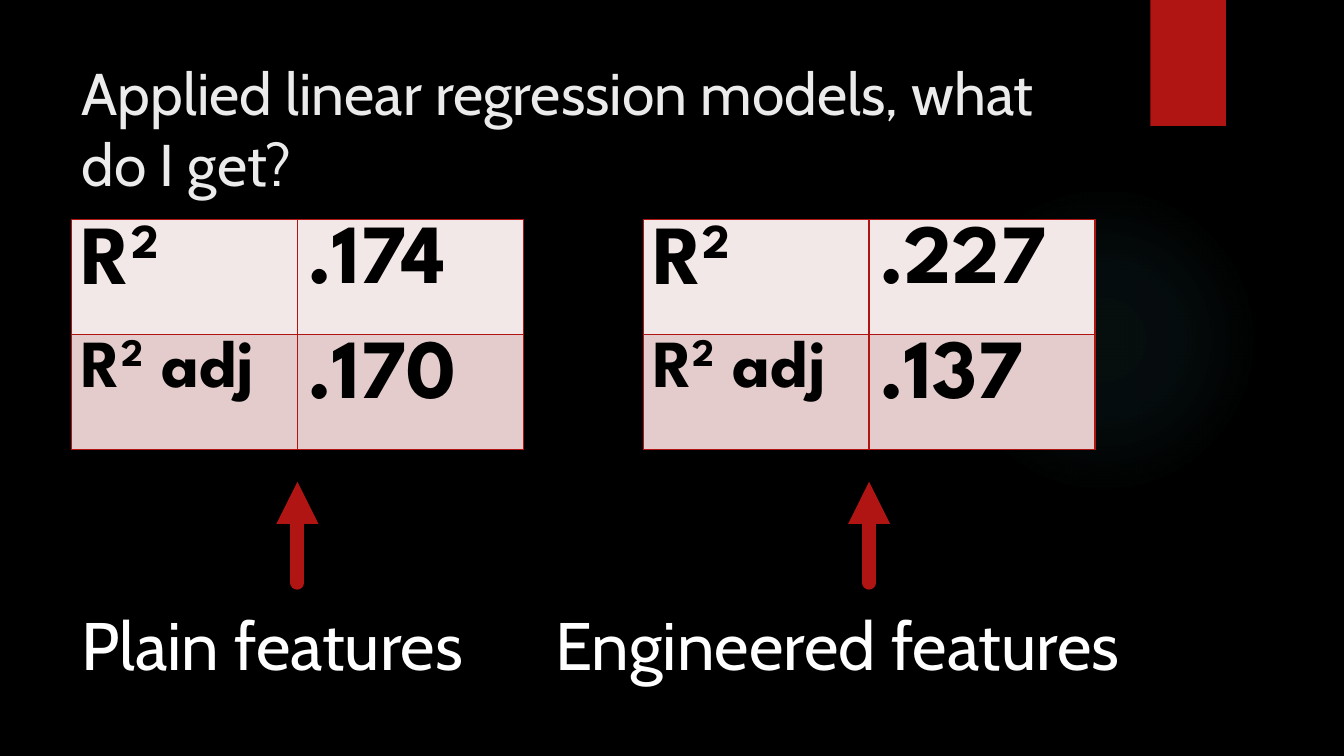
from pptx import Presentation
from pptx.dml.color import RGBColor
from pptx.enum.shapes import MSO_CONNECTOR, MSO_SHAPE
from pptx.enum.text import MSO_ANCHOR
from pptx.oxml import parse_xml
from pptx.oxml.ns import nsdecls, qn
from pptx.util import Inches, Pt
from lxml.etree import SubElement

BLACK = RGBColor(0x00, 0x00, 0x00)
WHITE = RGBColor(0xFF, 0xFF, 0xFF)
OFF_WHITE = RGBColor(0xEB, 0xEB, 0xEB)
RED = RGBColor(0xB0, 0x15, 0x13)
TEAL = RGBColor(0x50, 0xB9, 0xC1)
ROW_FILLS = [RGBColor(0xF2, 0xE8, 0xE7), RGBColor(0xE4, 0xCC, 0xCC)]
TEXT_FONT = "Cabin"
TABLE_FONT = "League Spartan"

# Each label is a list of (text, is superscript) pieces.
R2 = [("R", False), ("2", True)]
R2_ADJ = R2 + [(" adj", False)]


def add_plain_shape(slide, kind, left, top, width, height):
    shape = slide.shapes.add_shape(
        kind, Inches(left), Inches(top), Inches(width), Inches(height))
    shape.shadow.inherit = False
    shape.line.fill.background()
    return shape


def add_glow(slide, left, top, size):
    """Faint round light that fades out towards its rim."""
    glow = add_plain_shape(slide, MSO_SHAPE.OVAL, left, top, size, size)
    glow.fill.background()
    stops = "".join(
        f'<a:gs pos="{place * 1000}"><a:srgbClr val="{TEAL}">'
        f'<a:alpha val="{opacity * 1000}"/></a:srgbClr></a:gs>'
        for place, opacity in [(0, 7), (36, 6), (69, 0)])
    gradient = parse_xml(
        f'<a:gradFill {nsdecls("a")}><a:gsLst>{stops}</a:gsLst>'
        '<a:path path="circle"><a:fillToRect l="50000" t="50000" '
        'r="50000" b="50000"/></a:path></a:gradFill>')
    properties = glow.element.spPr
    properties.replace(properties.find(qn("a:noFill")), gradient)


def add_tab(slide, left, top, width, height):
    tab = add_plain_shape(slide, MSO_SHAPE.RECTANGLE, left, top, width, height)
    tab.fill.solid()
    tab.fill.fore_color.rgb = RED


def add_text(slide, text, left, top, width, height, size, color,
             anchor=MSO_ANCHOR.TOP):
    frame = slide.shapes.add_textbox(
        Inches(left), Inches(top), Inches(width), Inches(height)).text_frame
    frame.word_wrap = True
    frame.vertical_anchor = anchor
    frame.text = text
    font = frame.paragraphs[0].runs[0].font
    font.name, font.size, font.color.rgb = TEXT_FONT, Pt(size), color


def add_borders(cell):
    cell_properties = cell._tc.get_or_add_tcPr()
    for side in ("a:lnL", "a:lnR", "a:lnT", "a:lnB"):
        border = SubElement(cell_properties, qn(side), w=str(Pt(1)))
        fill = SubElement(border, qn("a:solidFill"))
        SubElement(fill, qn("a:srgbClr"), val=str(RED))


def fill_cell(cell, pieces, size, color):
    add_borders(cell)
    cell.fill.solid()
    cell.fill.fore_color.rgb = color
    paragraph = cell.text_frame.paragraphs[0]
    for text, is_superscript in pieces:
        run = paragraph.add_run()
        run.text = text
        font = run.font
        font.name, font.size, font.bold = TABLE_FONT, Pt(size), True
        font.color.rgb = BLACK
        if is_superscript:
            font._element.set("baseline", "30000")


def add_score_table(slide, r2, r2_adj, left, top, width, height):
    table = slide.shapes.add_table(
        2, 2, Inches(left), Inches(top), Inches(width), Inches(height)).table
    table.first_row = table.horz_banding = False
    rows = [(R2, 60, r2), (R2_ADJ, 48, r2_adj)]
    for index, (label, label_size, score) in enumerate(rows):
        fill_cell(table.cell(index, 0), label, label_size, ROW_FILLS[index])
        fill_cell(table.cell(index, 1), [(score, False)], 60, ROW_FILLS[index])


def add_up_arrow(slide, x, bottom, top):
    arrow = slide.shapes.add_connector(
        MSO_CONNECTOR.STRAIGHT, Inches(x), Inches(bottom), Inches(x), Inches(top))
    arrow.line.color.rgb = RED
    arrow.line.width = Pt(10)
    line = arrow.line._get_or_add_ln()
    line.set("cap", "rnd")
    SubElement(line, qn("a:tailEnd"), type="triangle")
    SubElement(arrow._element.spPr, qn("a:effectLst"))


def add_model(slide, left, top, r2, r2_adj, caption, caption_left, caption_width):
    """Score table with an arrow up to it from the caption below."""
    width, height = 4.48, 2.28
    add_score_table(slide, r2, r2_adj, left, top, width, height)
    add_up_arrow(slide, left + width / 2, top + 3.6, top + 2.6)
    add_text(slide, caption, caption_left, top + 3.76, caption_width, 0.91,
             48, WHITE)


def main():
    presentation = Presentation()
    presentation.slide_width = Inches(13.33)
    presentation.slide_height = Inches(7.5)
    slide = presentation.slides.add_slide(presentation.slide_layouts[6])
    slide.background.fill.solid()
    slide.background.fill.fore_color.rgb = BLACK

    add_glow(slide, 9.41, 1.83, 3.08)
    add_tab(slide, 11.41, 0, 0.75, 1.25)
    add_text(slide, "Applied linear regression models, what do I get?",
             0.71, 0.5, 10.29, 1.53, 42, OFF_WHITE, MSO_ANCHOR.MIDDLE)
    add_model(slide, 0.71, 2.18, ".174", ".170", "Plain features", 0.71, 4.48)
    add_model(slide, 6.38, 2.18, ".227", ".137", "Engineered features", 5.41, 6.41)
    presentation.save("out.pptx")


if __name__ == "__main__":
    main()
